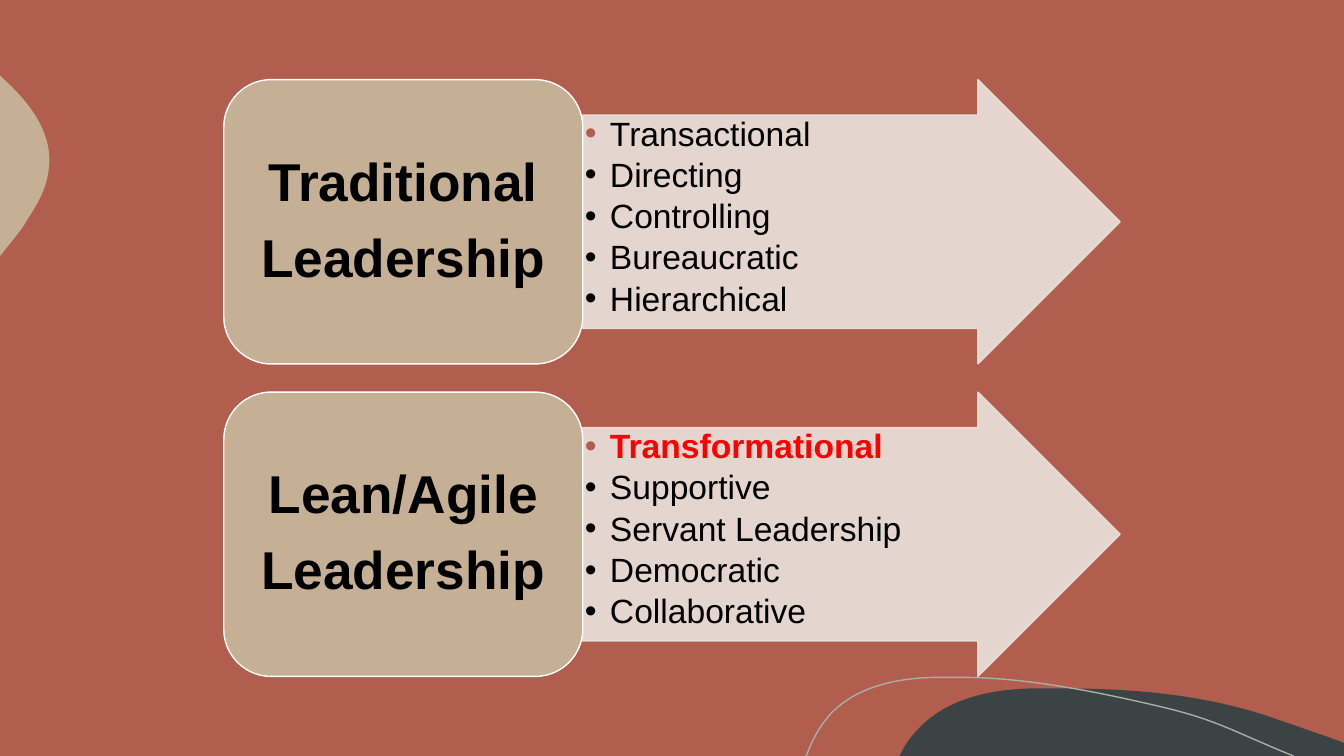
"""Build a slide that sets traditional leadership against lean and agile leadership."""
from dataclasses import dataclass
from typing import Any, Optional

from lxml.etree import SubElement
from pptx import Presentation
from pptx.dml.color import RGBColor
from pptx.enum.shapes import MSO_SHAPE
from pptx.enum.text import MSO_ANCHOR, PP_ALIGN
from pptx.oxml.ns import qn
from pptx.util import Emu, Pt

PX = 9144
RUST, SAND, CREAM, SLATE = "B15E4E", "C5B096", "EAE4DD", "3B4345"
BLACK, WHITE, RED, GREY = "000000", "FFFFFF", "FF0000", "A9AEA7"
Point = tuple[int, int]


@dataclass(frozen=True)
class Box:
    left: int
    top: int
    width: int
    height: int

    def emu(self) -> list[Emu]:
        return [px(value) for value in (self.left, self.top, self.width, self.height)]


@dataclass(frozen=True)
class Outline:
    start: Point
    segments: list[tuple[Point, ...]]
    fill: Optional[str] = None
    line: Optional[str] = None


@dataclass(frozen=True)
class Style:
    font: dict[str, Any]
    paragraph: dict[str, Any]
    frame: dict[str, Any]


@dataclass(frozen=True)
class Leadership:
    top: int
    title: tuple[str, ...]
    traits: tuple[str, ...]
    highlight: dict[str, Any]


OUTLINES = [
    Outline((1054, 683), [
        ((1128, 683), (1204, 690), (1273, 716)),
        ((1286, 720), (1298, 725), (1311, 729)),
        ((1333, 737),), ((1333, 750),), ((892, 750),), ((898, 739),),
        ((902, 733), (906, 728), (911, 723)),
        ((939, 693), (982, 684), (1023, 683)),
        ((1033, 683), (1043, 683), (1054, 683)),
    ], fill=SLATE),
    Outline((0, 75), [
        ((1, 76),),
        ((30, 102), (54, 133), (48, 170)),
        ((46, 187), (37, 203), (27, 218)),
        ((24, 224), (17, 233), (8, 244)),
        ((0, 254),),
    ], fill=SAND),
    Outline((799, 750), [
        ((800, 749),),
        ((806, 733), (814, 719), (824, 708)),
        ((850, 681), (889, 673), (926, 672)),
        ((955, 672),),
        ((1022, 672), (1100, 689), (1155, 702)),
        ((1209, 715), (1226, 727), (1283, 750)),
    ], line=GREY),
]

LEADERSHIPS = [
    Leadership(79, ("Traditional", "Leadership"),
               ("Transactional", "Directing", "Controlling", "Bureaucratic", "Hierarchical"), {}),
    Leadership(389, ("Lean/Agile", "Leadership"),
               ("Transformational", "Supportive", "Servant Leadership", "Democratic",
                "Collaborative"), {"color": RED, "bold": True}),
]


def px(value: int) -> Emu:
    return Emu(value * PX)


def margins(side: int, end: int) -> dict[str, Emu]:
    return {"margin_left": px(side), "margin_right": px(side),
            "margin_top": px(end), "margin_bottom": px(end)}


TITLE_STYLE = Style(
    {"name": "Arial", "size": Pt(38), "bold": True, "color": BLACK},
    {"alignment": PP_ALIGN.CENTER, "line_spacing": 0.9, "space_after": Pt(13.3)},
    {"word_wrap": True, "vertical_anchor": MSO_ANCHOR.MIDDLE, **margins(16, 8)},
)
TRAIT_STYLE = Style(
    {"name": "Arial", "size": Pt(24), "bold": False, "color": BLACK},
    {"alignment": PP_ALIGN.LEFT, "line_spacing": 0.9, "space_after": Pt(3.6)},
    {"word_wrap": True, "vertical_anchor": MSO_ANCHOR.TOP, **margins(2, 2)},
)


def set_color(color_format: Any, color: str) -> None:
    color_format.rgb = RGBColor.from_string(color)


def apply_format(target: Any, values: dict[str, Any]) -> None:
    for name, value in values.items():
        if name == "color":
            set_color(target.color, value)
        else:
            setattr(target, name, value)


def paint(shape: Any, fill: Optional[str], line: Optional[str]) -> None:
    shape.shadow.inherit = False
    if fill:
        shape.fill.solid()
        set_color(shape.fill.fore_color, fill)
    else:
        shape.fill.background()
    if line:
        apply_format(shape.line, {"color": line, "width": Pt(1)})
    else:
        shape.line.fill.background()


def draw_outline(slide: Any, outline: Outline) -> None:
    ends = [segment[-1] for segment in outline.segments]
    left, top = (min(values) for values in zip(outline.start, *ends))
    builder = slide.shapes.build_freeform(*outline.start, scale=PX)
    builder.add_line_segments(ends, close=outline.fill is not None)
    shape = builder.convert_to_shape()
    steps = list(shape.element.iter(qn("a:lnTo")))
    for step, segment in zip(steps, outline.segments):
        if len(segment) == 3:
            curve = SubElement(step.getparent(), qn("a:cubicBezTo"))
            for x, y in segment:
                SubElement(curve, qn("a:pt"), x=str(x - left), y=str(y - top))
            step.getparent().replace(step, curve)
    paint(shape, outline.fill, outline.line)


def draw_shape(slide: Any, kind: MSO_SHAPE, box: Box, fill: str, line: str) -> Any:
    shape = slide.shapes.add_shape(kind, *box.emu())
    paint(shape, fill, line)
    return shape


def draw_text(slide: Any, box: Box, lines: tuple[str, ...], style: Style) -> list[Any]:
    frame = slide.shapes.add_textbox(*box.emu()).text_frame
    apply_format(frame, style.frame)
    frame.text = "\n".join(lines)
    for paragraph in frame.paragraphs:
        apply_format(paragraph, style.paragraph)
        apply_format(paragraph.runs[0].font, style.font)
    return list(frame.paragraphs)


def add_bullet(paragraph: Any, color: str) -> None:
    properties = paragraph._p.get_or_add_pPr()
    properties.set("marL", str(px(25)))
    properties.set("indent", str(px(-25)))
    bullet_color = SubElement(properties, qn("a:buClr"))
    SubElement(bullet_color, qn("a:srgbClr"), val=color)
    SubElement(properties, qn("a:buFont"), typeface="Arial")
    SubElement(properties, qn("a:buChar"), char="•")


def draw_leadership(slide: Any, leadership: Leadership) -> None:
    top = leadership.top
    arrow = draw_shape(slide, MSO_SHAPE.RIGHT_ARROW, Box(578, top, 533, 282), CREAM, CREAM)
    arrow.adjustments[0] = 0.75
    for color in arrow.element.iter(qn("a:srgbClr")):
        SubElement(color, qn("a:alpha"), val="90000")
    traits = draw_text(slide, Box(578, top + 35, 428, 212), leadership.traits, TRAIT_STYLE)
    for index, paragraph in enumerate(traits):
        add_bullet(paragraph, BLACK if index else RUST)
    apply_format(traits[0].runs[0].font, leadership.highlight)
    draw_shape(slide, MSO_SHAPE.ROUNDED_RECTANGLE, Box(222, top, 356, 282), SAND, WHITE)
    draw_text(slide, Box(236, top + 14, 328, 255), leadership.title, TITLE_STYLE)


def main() -> None:
    presentation = Presentation()
    apply_format(presentation, {"slide_width": px(1333), "slide_height": px(750)})
    slide = presentation.slides.add_slide(presentation.slide_layouts[6])
    slide.background.fill.solid()
    set_color(slide.background.fill.fore_color, RUST)
    for outline in OUTLINES:
        draw_outline(slide, outline)
    for leadership in LEADERSHIPS:
        draw_leadership(slide, leadership)
    presentation.save("out.pptx")


if __name__ == "__main__":
    main()
